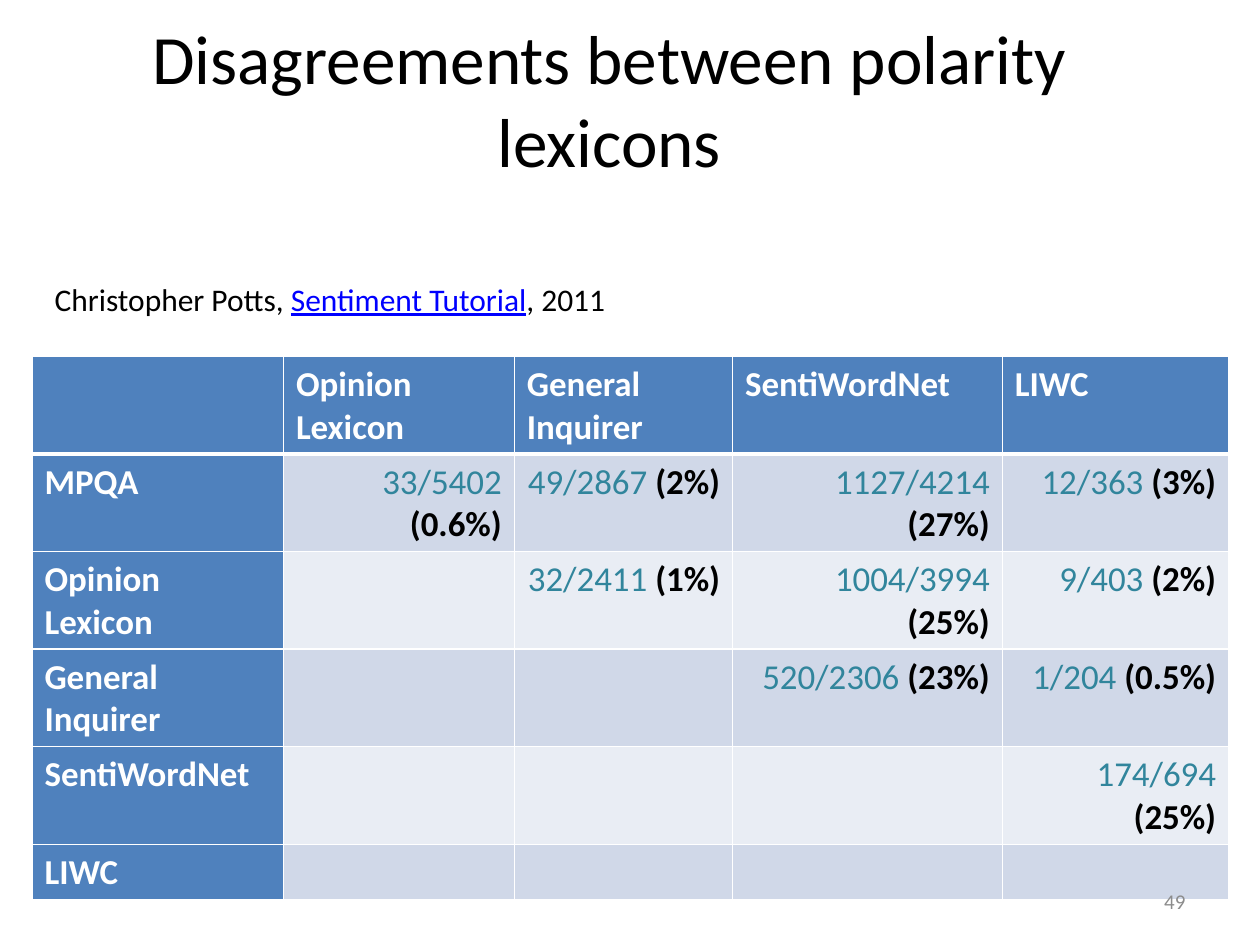
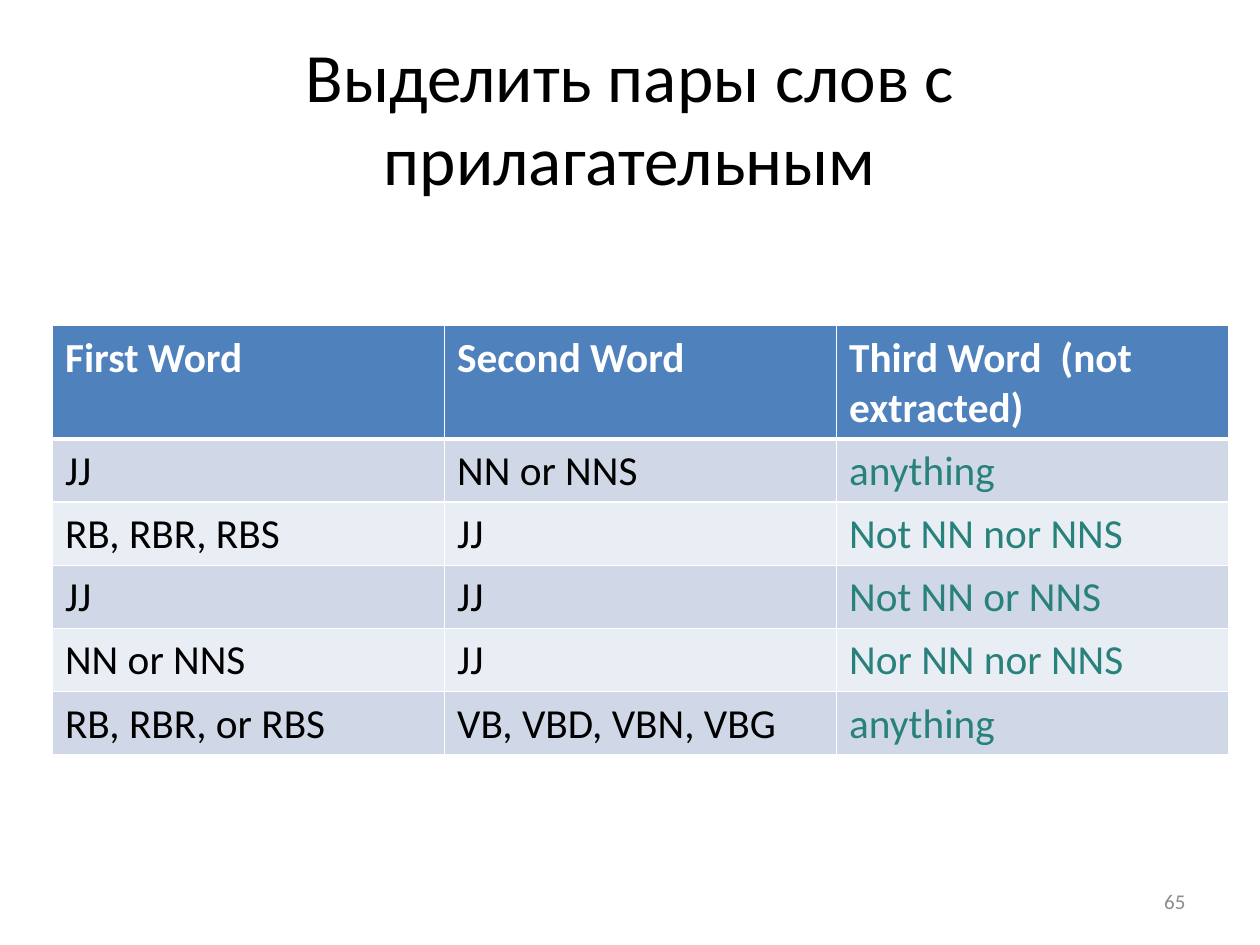
import dataclasses

import lxml.etree
import pptx
import pptx.dml.color
import pptx.enum.text
import pptx.oxml.ns
import pptx.util

Inches = pptx.util.Inches
ALIGN = pptx.enum.text.PP_ALIGN
ANCHOR = pptx.enum.text.MSO_ANCHOR
CM_PER_INCH = 2.54


@dataclasses.dataclass(frozen=True)
class Theme:
    font: str = "Calibri"
    title_size: float = 43.6
    citation_size: float = 19.8
    number_size: float = 13.2
    lexicon_size: float = 22
    pattern_size: float = 26
    text: str = "000000"
    white: str = "FFFFFF"
    header: str = "4F81BD"
    bands: tuple = ("D0D8E8", "E9EDF4")
    count: str = "31859C"
    third_word: str = "28817A"
    link: str = "0000FF"
    number: str = "8C8C8C"
    thin: float = 1
    thick: float = 3
    inset_x: float = 0.11
    inset_y: float = 0.06


THEME = Theme()

LEXICONS = ["MPQA", "Opinion Lexicon", "General Inquirer", "SentiWordNet", "LIWC"]
DISAGREEMENTS = [
    [("33/5402", "0.6%"), ("49/2867", "2%"), ("1127/4214", "27%"), ("12/363", "3%")],
    [("32/2411", "1%"), ("1004/3994", "25%"), ("9/403", "2%")],
    [("520/2306", "23%"), ("1/204", "0.5%")],
    [("174/694", "25%")],
    [],
]
PATTERN_HEADER = ["First Word", "Second Word", "Third Word  (not extracted)"]
PATTERNS = [
    ["JJ", "NN or NNS", "anything"],
    ["RB, RBR, RBS", "JJ", "Not NN nor NNS"],
    ["JJ", "JJ", "Not NN or NNS"],
    ["NN or NNS", "JJ", "Nor NN nor NNS"],
    ["RB, RBR, or RBS", "VB, VBD, VBN, VBG", "anything"],
]


def rgb(value):
    return pptx.dml.color.RGBColor.from_string(value)


def add_run(p, text, size, color, bold=False, underline=False):
    r = p.add_run()
    r.text = text
    r.font.name = THEME.font
    r.font.size = pptx.util.Pt(size)
    r.font.color.rgb = rgb(color)
    r.font.bold = bold
    r.font.underline = underline


def add_text(slide, box, align, anchor, wrap=True):
    sp = slide.shapes.add_textbox(*map(Inches, box))
    tf = sp.text_frame
    tf.word_wrap = wrap
    tf.vertical_anchor = anchor
    p = tf.paragraphs[0]
    p.alignment = align
    return p


def add_title(slide, box, text):
    p = add_text(slide, box, ALIGN.CENTER, ANCHOR.MIDDLE)
    add_run(p, text, THEME.title_size, THEME.text)


def add_slide_number(slide, box, number):
    p = add_text(slide, box, ALIGN.RIGHT, ANCHOR.MIDDLE)
    add_run(p, str(number), THEME.number_size, THEME.number)


def add_citation(slide, box):
    p = add_text(slide, box, ALIGN.LEFT, ANCHOR.TOP, wrap=False)
    add_run(p, "Christopher Potts, ", THEME.citation_size, THEME.text)
    add_run(p, "Sentiment Tutorial", THEME.citation_size, THEME.link, underline=True)
    add_run(p, ", 2011", THEME.citation_size, THEME.text)


def set_borders(cell, top, bottom):
    tcPr = cell._tc.get_or_add_tcPr()
    widths = {"L": THEME.thin, "R": THEME.thin, "T": top, "B": bottom}
    for side, width in widths.items():
        ln = lxml.etree.SubElement(tcPr, pptx.oxml.ns.qn(f"a:ln{side}"))
        ln.set("w", str(pptx.util.Pt(width)))
        fill = lxml.etree.SubElement(ln, pptx.oxml.ns.qn("a:solidFill"))
        color = lxml.etree.SubElement(fill, pptx.oxml.ns.qn("a:srgbClr"))
        color.set("val", THEME.white)


def add_grid(slide, left, top, widths, heights, header_column=False):
    box = (left, top, sum(widths), sum(heights))
    table = slide.shapes.add_table(len(heights), len(widths), *map(Inches, box)).table
    table.horz_banding = False
    for column, width in zip(table.columns, widths):
        column.width = Inches(width)
    for i, (row, height) in enumerate(zip(table.rows, heights)):
        row.height = Inches(height)
        for j, cell in enumerate(row.cells):
            set_borders(
                cell,
                THEME.thick if i == 1 else THEME.thin,
                THEME.thick if i == 0 else THEME.thin,
            )
            is_header = i == 0 or (header_column and j == 0)
            cell.fill.solid()
            cell.fill.fore_color.rgb = rgb(
                THEME.header if is_header else THEME.bands[(i - 1) % 2]
            )
            cell.margin_left = cell.margin_right = Inches(THEME.inset_x)
            cell.margin_top = cell.margin_bottom = Inches(THEME.inset_y)
    return table


def write_cell(cell, text, size, color, bold=False):
    add_run(cell.text_frame.paragraphs[0], text, size, color, bold)


def add_lexicon_table(slide, left, top):
    size = THEME.lexicon_size
    widths = [2.2, 2.02, 1.91, 2.36, 1.98]
    table = add_grid(slide, left, top, widths, [0.84] * 5 + [0.47], header_column=True)
    for j, name in enumerate(LEXICONS[1:], 1):
        write_cell(table.cell(0, j), name, size, THEME.white, True)
    for i, (name, values) in enumerate(zip(LEXICONS, DISAGREEMENTS), 1):
        write_cell(table.cell(i, 0), name, size, THEME.white, True)
        for j, (count, share) in enumerate(values, i):
            p = table.cell(i, j).text_frame.paragraphs[0]
            p.alignment = ALIGN.RIGHT
            add_run(p, f"{count} ", size, THEME.count)
            add_run(p, f"({share})", size, THEME.text, True)


def add_pattern_table(slide, left, top):
    size = THEME.pattern_size
    table = add_grid(slide, left, top, [3.43] * 3, [0.99] + [0.55] * 5)
    for j, text in enumerate(PATTERN_HEADER):
        write_cell(table.cell(0, j), text, size, THEME.white, True)
    for i, pattern in enumerate(PATTERNS, 1):
        for j, text in enumerate(pattern):
            color = THEME.third_word if j == 2 else THEME.text
            write_cell(table.cell(i, j), text, size, color)


def add_slide(prs, title, title_box):
    slide = prs.slides.add_slide(prs.slide_layouts[6])
    slide.background.fill.solid()
    slide.background.fill.fore_color.rgb = rgb(THEME.white)
    add_title(slide, title_box, title)
    return slide


def build_disagreements(prs, number_box):
    title = "Disagreements between polarity lexicons"
    slide = add_slide(prs, title, (0.69, 0.41, 9.28, 0.9))
    add_lexicon_table(slide, 0.28, 3.12)
    add_slide_number(slide, number_box, 49)
    add_citation(slide, (0.38, 2.4, 5.14, 0.43))


def build_patterns(prs, number_box):
    title = "Выделить пары слов с прилагательным"
    slide = add_slide(prs, title, (0.55, 0.33, 9.92, 1.38))
    add_pattern_table(slide, 0.46, 2.85)
    add_slide_number(slide, number_box, 65)


def main():
    prs = pptx.Presentation()
    prs.slide_width = Inches(28 / CM_PER_INCH)
    prs.slide_height = Inches(21 / CM_PER_INCH)
    number_box = (7.9, 7.66, 2.57, 0.44)
    build_disagreements(prs, number_box)
    build_patterns(prs, number_box)
    prs.save("out.pptx")


if __name__ == "__main__":
    main()
